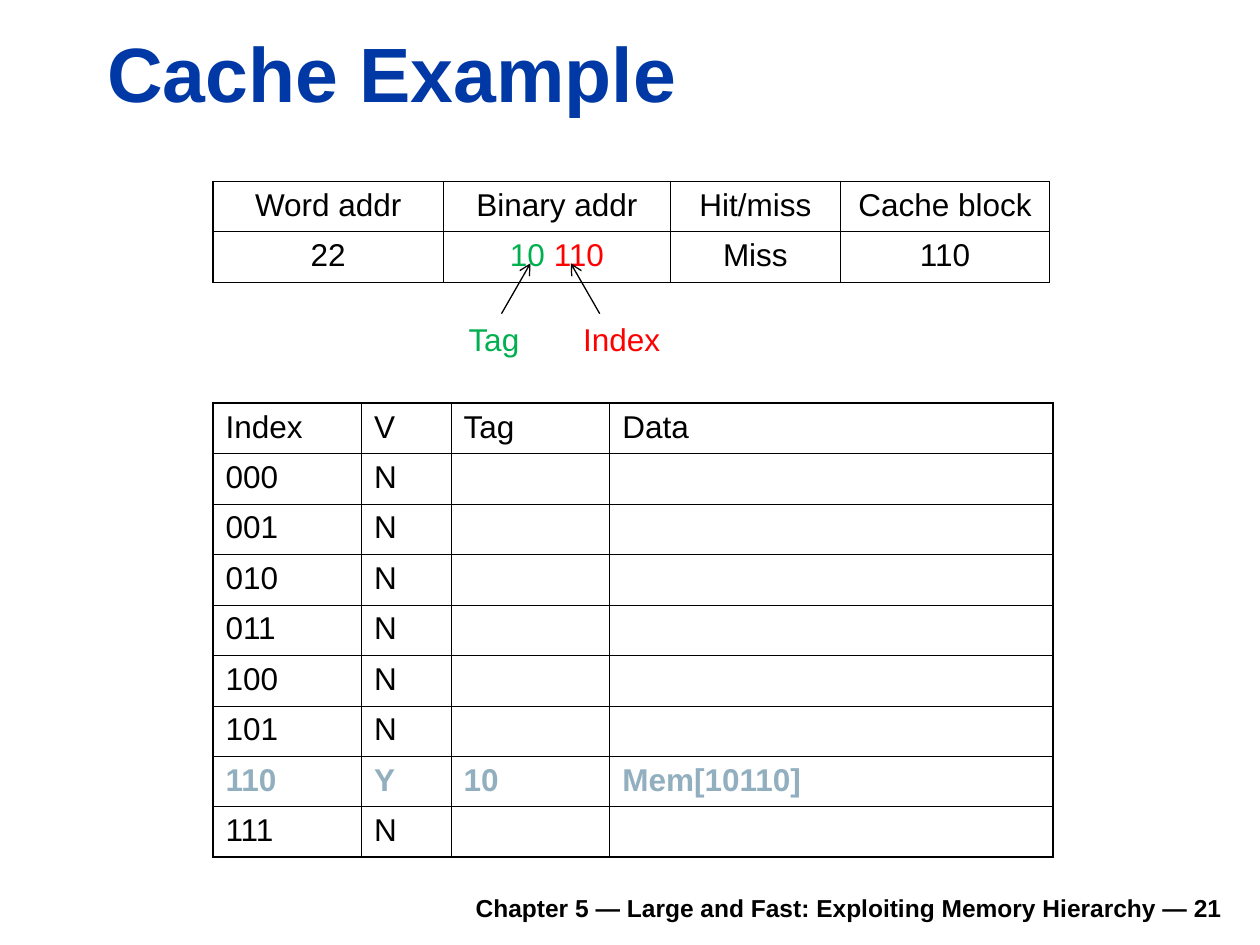
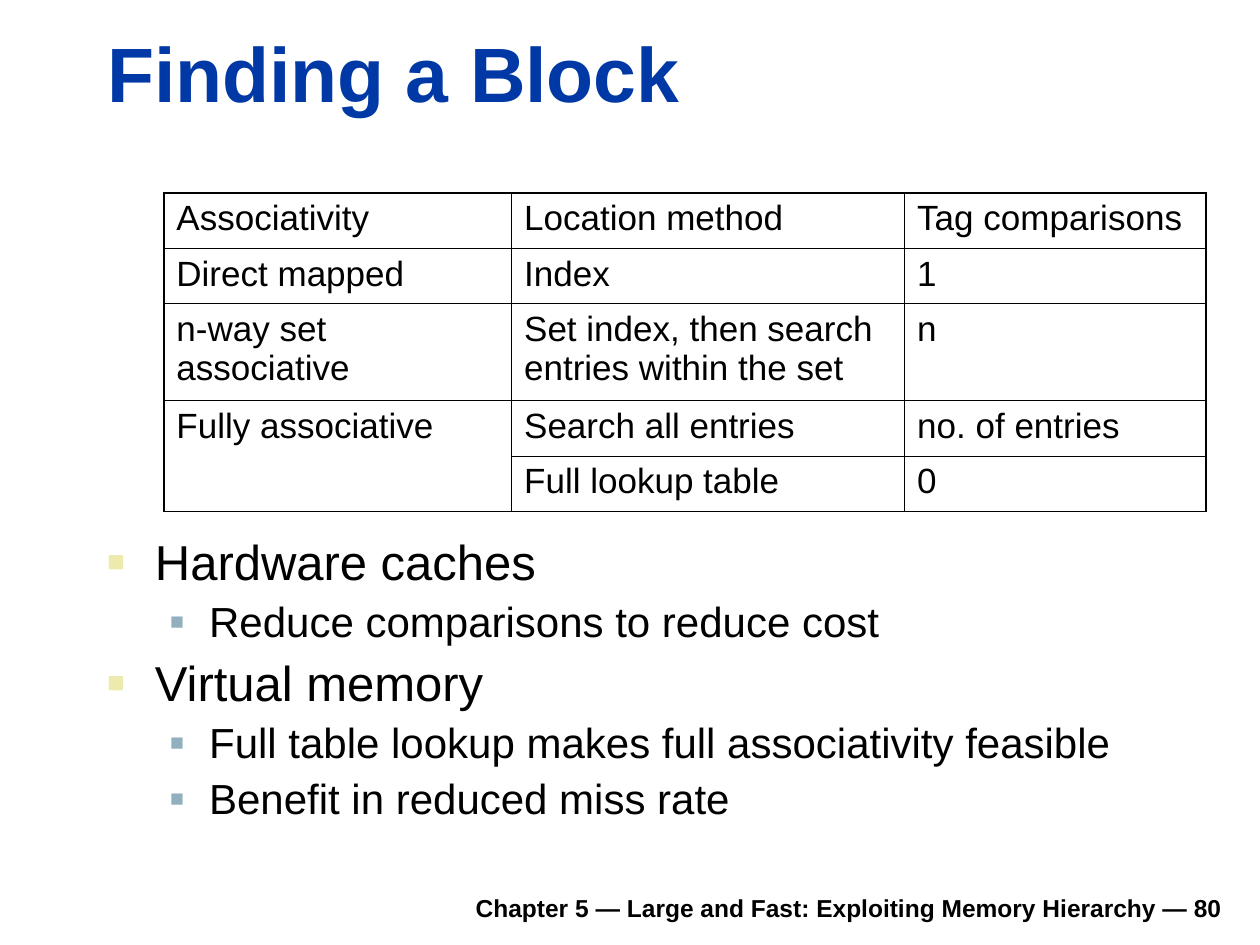
from lxml.etree import SubElement
from pptx import Presentation
from pptx.dml.color import RGBColor
from pptx.enum.shapes import MSO_CONNECTOR
from pptx.enum.text import MSO_ANCHOR, MSO_AUTO_SIZE, PP_ALIGN
from pptx.oxml.ns import qn
from pptx.util import Inches, Pt

BLACK = RGBColor(0x00, 0x00, 0x00)
BLUE = RGBColor(0x00, 0x39, 0xA6)
STEEL = RGBColor(0x91, 0xAF, 0xBF)
SAND = RGBColor(0xEC, 0xEA, 0xAC)
GREEN = RGBColor(0x00, 0xB0, 0x50)
RED = RGBColor(0xFF, 0x00, 0x00)
FONT = "Arial"
OUTER, HEADER, INNER = 1.08, 0.75, 0.45

CHAPTER = "Chapter 5 — Large and Fast: Exploiting Memory Hierarchy"

# A cell is a text, or a list of (text, colour) runs.
ACCESS = [
    ["Word addr", "Binary addr", "Hit/miss", "Cache block"],
    ["22", [("10 ", GREEN), ("110", RED)], "Miss", "110"],
]
FILLED = {"110": ["Y", "10", "Mem[10110]"]}
CACHE = [["Index", "V", "Tag", "Data"]] + [
    [index, *FILLED.get(index, ["N", "", ""])]
    for index in (f"{i:03b}" for i in range(8))
]
# Label, colour, box left, box width, arrow start x, arrow end x
ADDRESS_PARTS = [
    ("Tag", GREEN, 3.62, 0.72, 3.98, 4.21),
    ("Index", RED, 4.53, 0.94, 4.76, 4.53),
]

METHODS = [
    ["Associativity", "Location method", "Tag comparisons"],
    ["Direct mapped", "Index", "1"],
    ["n-way set associative", "Set index, then search entries within the set", "n"],
    ["Fully associative", "Search all entries", "no. of entries"],
    ["", "Full lookup table", "0"],
]
POINTS = [
    (0, "Hardware caches"),
    (1, "Reduce comparisons to reduce cost"),
    (0, "Virtual memory"),
    (1, "Full table lookup makes full associativity feasible"),
    (1, "Benefit in reduced miss rate"),
]
# Per level: font size, left margin, hanging indent, space before, bullet colour, bullet %
LEVELS = [
    (28, 0.38, 0.38, 7, SAND, 60),
    (24, 0.81, 0.31, 6, STEEL, 55),
]


def place(sp, left, top, width, height):
    sp.left, sp.top = Inches(left), Inches(top)
    sp.width, sp.height = Inches(width), Inches(height)


def write(p, content, size, color=BLACK, bold=False, align=PP_ALIGN.LEFT):
    runs = [(content, color)] if isinstance(content, str) else content
    p.alignment = align
    for text, run_color in runs:
        if not text:
            continue
        r = p.add_run()
        r.text = text
        r.font.name, r.font.size, r.font.bold = FONT, Pt(size), bold
        r.font.color.rgb = run_color


def add_text(slide, box, *args, anchor=MSO_ANCHOR.TOP, **kwargs):
    sp = slide.shapes.add_textbox(*map(Inches, box))
    tf = sp.text_frame
    tf.word_wrap, tf.vertical_anchor = True, anchor
    write(tf.paragraphs[0], *args, **kwargs)


def add_slide(prs, layout, title, number):
    slide = prs.slides.add_slide(prs.slide_layouts.get_by_name(layout))
    sp = slide.shapes.title
    place(sp, 0.75, 0.16, 9.03, 0.83)
    tf = sp.text_frame
    tf.auto_size, tf.vertical_anchor = MSO_AUTO_SIZE.NONE, MSO_ANCHOR.BOTTOM
    write(tf.paragraphs[0], title, 44, BLUE, True)
    add_text(slide, (1.85, 6.98, 7.95, 0.39), f"{CHAPTER} — {number}", 14,
             bold=True, align=PP_ALIGN.RIGHT, anchor=MSO_ANCHOR.BOTTOM)
    return slide


def set_borders(cell, **widths):
    tc_pr = cell._tc.get_or_add_tcPr()
    for side, width in widths.items():
        ln = SubElement(tc_pr, qn(f"a:ln{side}"), w=str(Pt(width)))
        fill = SubElement(ln, qn("a:solidFill"))
        SubElement(fill, qn("a:srgbClr"), val=str(BLACK))


def add_grid(slide, left, top, col_widths, row_heights, rows, size,
             align=PP_ALIGN.LEFT, accent_row=None):
    """Add a table with a heavier frame and a medium rule under its header."""
    n_rows, n_cols = len(rows), len(col_widths)
    table = slide.shapes.add_table(
        n_rows, n_cols, Inches(left), Inches(top),
        Inches(sum(col_widths)), Inches(sum(row_heights))).table
    table.first_row = table.horz_banding = False
    for col, width in zip(table.columns, col_widths):
        col.width = Inches(width)
    for row, height in zip(table.rows, row_heights):
        row.height = Inches(height)
    h_rules = [OUTER, HEADER] + [INNER] * (n_rows - 2) + [OUTER]
    v_rules = [OUTER] + [INNER] * (n_cols - 1) + [OUTER]
    for i, row in enumerate(rows):
        accent = i == accent_row
        for j, content in enumerate(row):
            cell = table.cell(i, j)
            set_borders(cell, L=v_rules[j], R=v_rules[j + 1],
                        T=h_rules[i], B=h_rules[i + 1])
            cell.fill.background()
            write(cell.text_frame.paragraphs[0], content, size,
                  STEEL if accent else BLACK, accent, align)
    return table


def add_arrow(slide, x1, y1, x2, y2):
    line = slide.shapes.add_connector(
        MSO_CONNECTOR.STRAIGHT, *map(Inches, (x1, y1, x2, y2)))
    line.line.color.rgb, line.line.width = BLACK, Pt(0.75)
    SubElement(line.line._get_or_add_ln(), qn("a:tailEnd"), type="arrow")
    SubElement(line._element.spPr, qn("a:effectLst"))


def add_points(sp, points):
    tf = sp.text_frame
    tf.auto_size = MSO_AUTO_SIZE.NONE
    for i, (level, text) in enumerate(points):
        size, margin, hang, before, color, percent = LEVELS[level]
        p = tf.add_paragraph() if i else tf.paragraphs[0]
        p.level, p.line_spacing = level, 0.9
        p.space_before = Pt(before if i else 0)
        p_pr = p._p.get_or_add_pPr()
        p_pr.set("marL", str(Inches(margin)))
        p_pr.set("indent", str(-Inches(hang)))
        bu_clr = SubElement(p_pr, qn("a:buClr"))
        SubElement(bu_clr, qn("a:srgbClr"), val=str(color))
        SubElement(p_pr, qn("a:buSzPct"), val=str(percent * 1000))
        SubElement(p_pr, qn("a:buFont"), typeface=FONT)
        SubElement(p_pr, qn("a:buChar"), char="■")
        write(p, text, size)


def cache_example(prs):
    slide = add_slide(prs, "Title Only", "Cache Example", 21)
    accent_row = next(i for i, row in enumerate(CACHE) if row[1] == "Y")
    add_grid(slide, 1.69, 3.2, [1.18, 0.71, 1.26, 3.52], [0.4] * len(CACHE),
             CACHE, 18, accent_row=accent_row)
    add_grid(slide, 1.69, 1.44, [1.83, 1.8, 1.35, 1.66], [0.4] * len(ACCESS),
             ACCESS, 18, PP_ALIGN.CENTER)
    for label, color, left, width, x1, x2 in ADDRESS_PARTS:
        add_text(slide, (left, 2.49, width, 0.4), label, 18, color)
        add_arrow(slide, x1, 2.49, x2, 2.09)


def finding_a_block(prs):
    slide = add_slide(prs, "Title and Content", "Finding a Block", 80)
    body = slide.placeholders[1]
    place(body, 0.75, 4.22, 9.04, 2.6)
    add_points(body, POINTS)
    table = add_grid(slide, 1.3, 1.53, [2.76, 3.12, 2.39],
                     [0.44, 0.44, 0.77, 0.44, 0.44], METHODS, 20)
    table.cell(3, 0).merge(table.cell(4, 0))


def main():
    prs = Presentation()
    prs.slide_width, prs.slide_height = Inches(10), Inches(7.5)
    cache_example(prs)
    finding_a_block(prs)
    prs.save("out.pptx")


if __name__ == "__main__":
    main()
